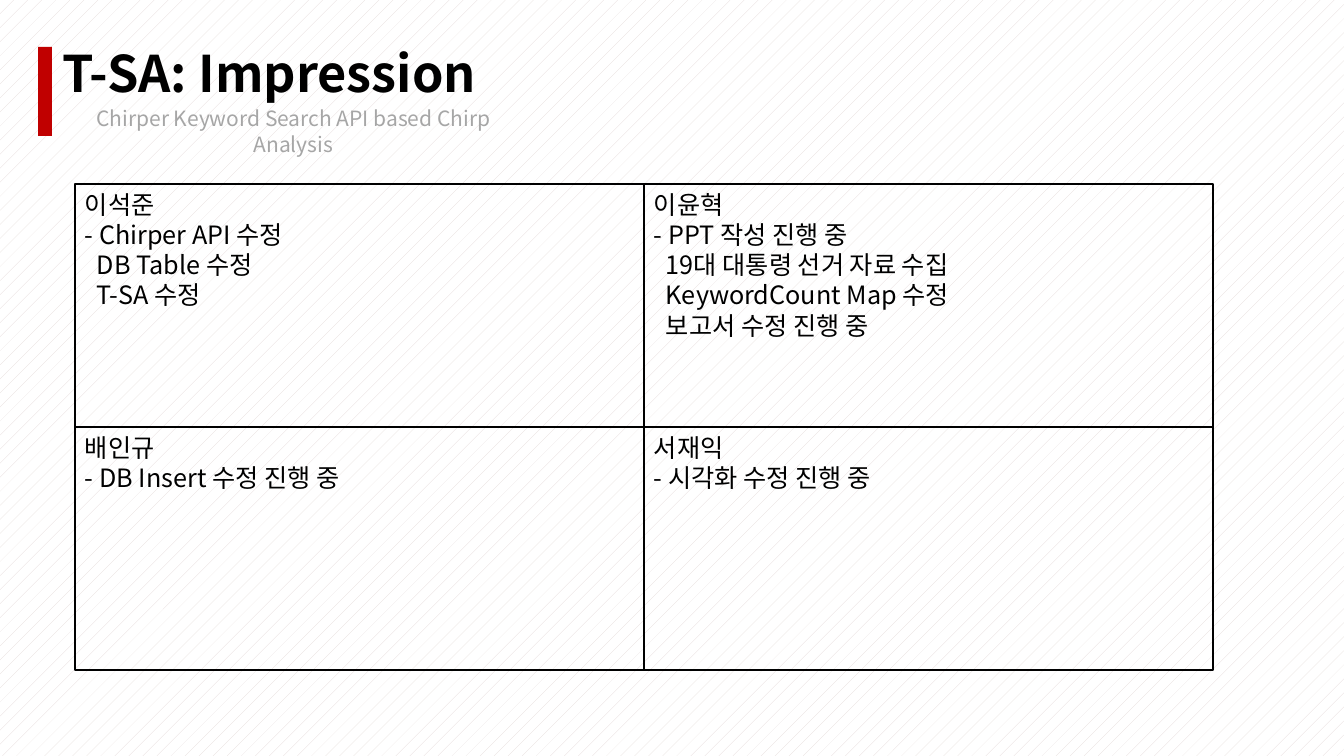
from pptx import Presentation
from pptx.dml.color import RGBColor
from pptx.enum.dml import MSO_PATTERN
from pptx.enum.shapes import MSO_SHAPE
from pptx.enum.text import MSO_ANCHOR, MSO_AUTO_SIZE, PP_ALIGN
from pptx.oxml.ns import qn
from pptx.util import Pt
from lxml import etree

EMU_PER_PX = 914400 / 100.8
FONT = "Noto Sans CJK KR"
RECTANGLE = MSO_SHAPE.RECTANGLE
DOTTED = MSO_PATTERN.PERCENT_5
TOP = MSO_ANCHOR.TOP
NO_AUTOFIT = MSO_AUTO_SIZE.NONE
LEFT, CENTER = PP_ALIGN.LEFT, PP_ALIGN.CENTER
TITLE_ONLY = 5

COLORS = {
    "accent": "C00000",
    "text": "000000",
    "subtitle": "A6A6A6",
    "pattern": "E3D9D7",
    "paper": "FFFFFF",
}

GRID_LEFT, GRID_TOP = 75, 184
CELL_WIDTH, CELL_HEIGHT = 569, 243
TASK_INDENT = 12

# Each member: name, first task, further tasks
MEMBERS = [
    [("이석준", "- Chirper API 수정", ["DB Table 수정", "T-SA 수정"]),
     ("이윤혁", "- PPT 작성 진행 중",
      ["19대 대통령 선거 자료 수집", "KeywordCount Map 수정", "보고서 수정 진행 중"])],
    [("배인규", "- DB Insert 수정 진행 중", []),
     ("서재익", "- 시각화 수정 진행 중", [])],
]


def px(length):
    return round(length * EMU_PER_PX)


def color(name):
    return RGBColor.from_string(COLORS[name])


def place(shape, left, top, width, height):
    shape.left, shape.top = px(left), px(top)
    shape.width, shape.height = px(width), px(height)


def style_paragraph(para, size, color_name, align=LEFT, bold=False):
    para.alignment = align
    font = para.font
    font.name, font.size, font.bold = FONT, Pt(size), bold
    font.color.rgb = color(color_name)
    east_asian = etree.SubElement(font._element, qn("a:ea"))
    east_asian.set("typeface", FONT)


def prepare_frame(shape):
    frame = shape.text_frame
    frame.word_wrap = True
    frame.auto_size = NO_AUTOFIT
    frame.vertical_anchor = TOP
    return frame


def set_background(slide):
    fill = slide.background.fill
    fill.patterned()
    fill.pattern = DOTTED
    fill.fore_color.rgb = color("pattern")
    fill.back_color.rgb = color("paper")


def add_rectangle(slide, left, top, width, height):
    box = slide.shapes.add_shape(RECTANGLE, px(left), px(top), px(width), px(height))
    box.shadow.inherit = False
    return box


def add_accent_bar(slide):
    bar = add_rectangle(slide, 38, 47, 14, 89)
    bar.fill.solid()
    bar.fill.fore_color.rgb = color("accent")
    bar.line.fill.background()


def set_title(slide, text):
    title = slide.shapes.title
    place(title, 52, 37, 775, 72)
    frame = prepare_frame(title)
    frame.text = text
    style_paragraph(frame.paragraphs[0], 36, "text", bold=True)


def add_subtitle(slide, text):
    box = slide.shapes.add_textbox(px(52), px(101), px(483), px(35))
    frame = prepare_frame(box)
    frame.text = text
    style_paragraph(frame.paragraphs[0], 15, "subtitle", CENTER)


def add_member(slide, left, top, name, first_task, more_tasks):
    box = add_rectangle(slide, left, top, CELL_WIDTH, CELL_HEIGHT)
    box.fill.background()
    box.line.color.rgb = color("text")
    box.line.width = Pt(1)
    frame = prepare_frame(box)
    frame.text = "\n".join([name, first_task, *more_tasks])
    for index, para in enumerate(frame.paragraphs):
        style_paragraph(para, 18, "text")
        if index > 1:
            para._p.get_or_add_pPr().set("marL", str(px(TASK_INDENT)))


def main():
    deck = Presentation()
    deck.slide_width, deck.slide_height = px(1344), px(756)
    slide = deck.slides.add_slide(deck.slide_layouts[TITLE_ONLY])
    set_background(slide)
    add_accent_bar(slide)
    set_title(slide, "T-SA: Impression")
    add_subtitle(slide, "Chirper Keyword Search API based Chirp Analysis")
    for row, members in enumerate(MEMBERS):
        for column, member in enumerate(members):
            add_member(slide, GRID_LEFT + column * CELL_WIDTH,
                       GRID_TOP + row * CELL_HEIGHT, *member)
    deck.save("out.pptx")


if __name__ == "__main__":
    main()
